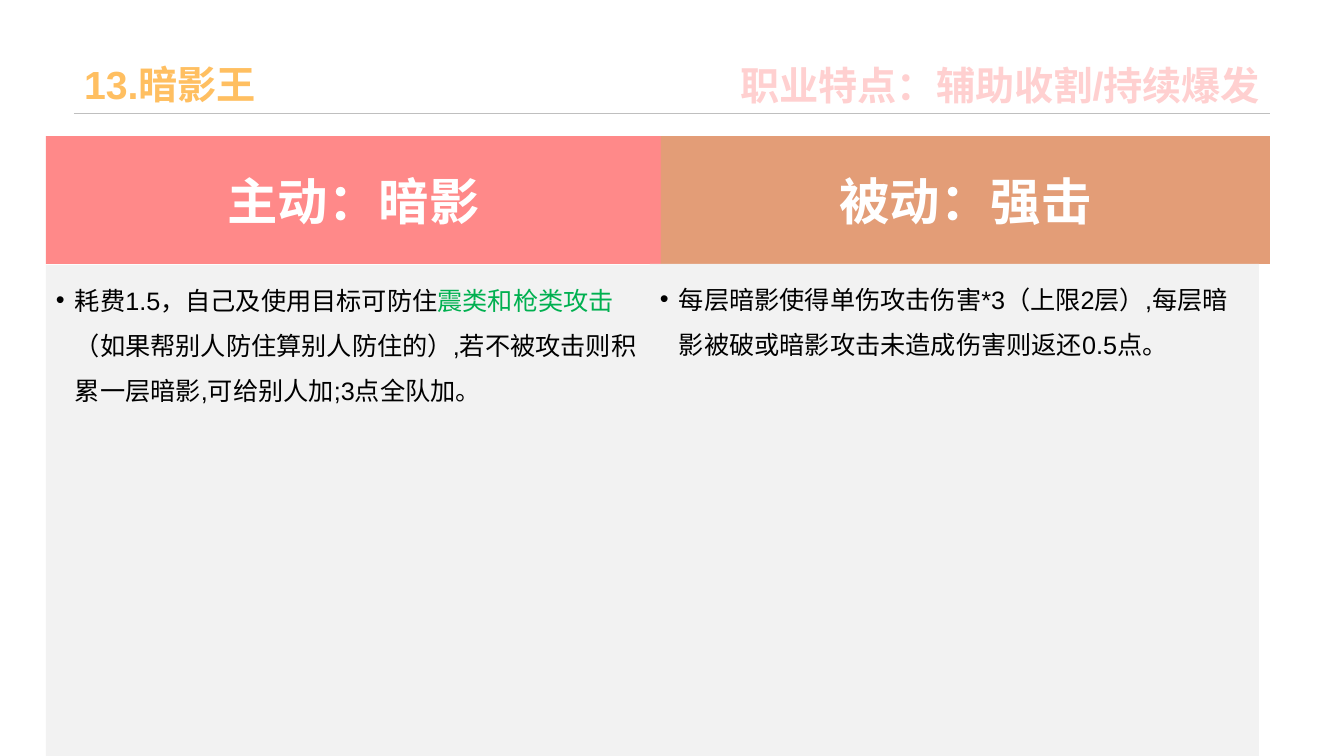
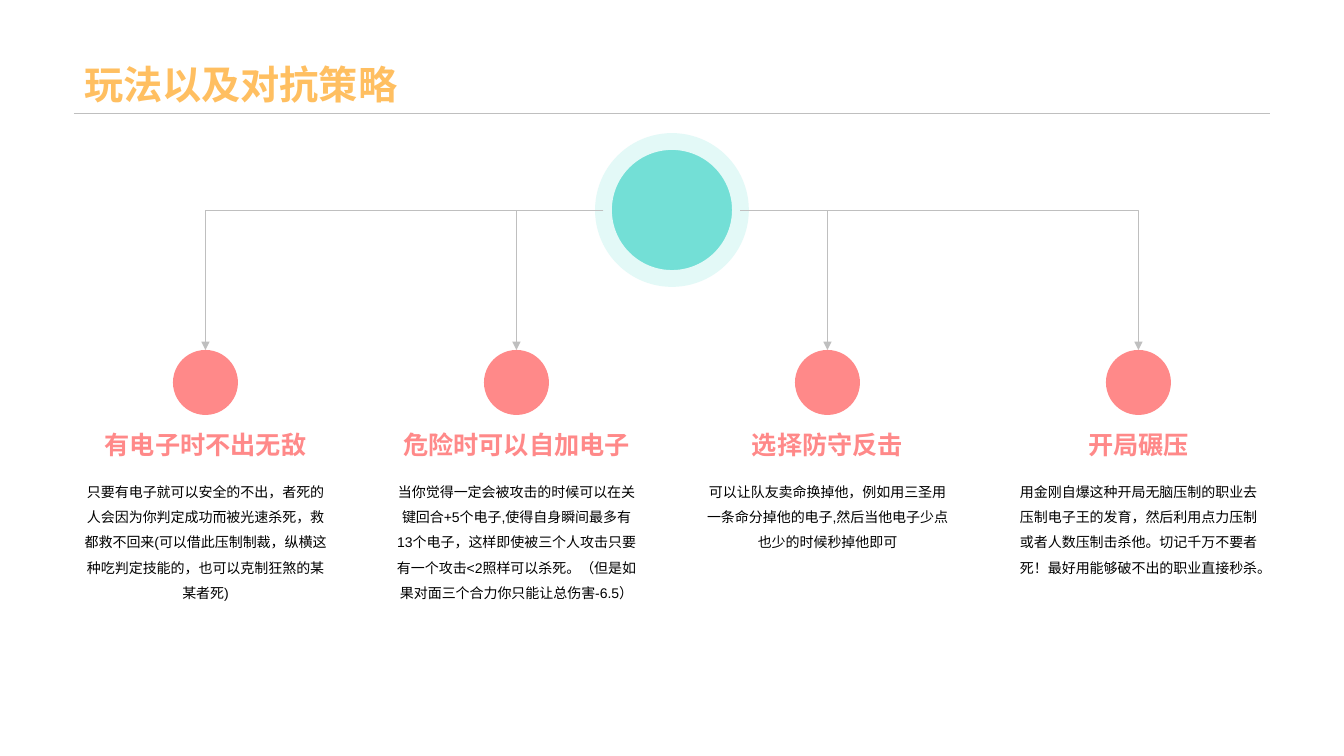
from lxml.etree import SubElement
from pptx import Presentation
from pptx.dml.color import RGBColor
from pptx.enum.lang import MSO_LANGUAGE_ID
from pptx.enum.shapes import MSO_CONNECTOR, MSO_SHAPE
from pptx.enum.text import MSO_ANCHOR, MSO_AUTO_SIZE, PP_ALIGN
from pptx.oxml.ns import qn
from pptx.util import Emu, Pt

ORANGE, CORAL, TAN, TEAL = "FFBF61", "FF8989", "E39D77", "73DFD6"
PALE_CORAL, PALE_TEAL, GREEN = "FFD0D0", "E3F9F7", "00B050"
WHITE, BLACK, PANEL, GREY = "FFFFFF", "000000", "F2F2F2", "BFBFBF"

ROLE_TITLE = "13.暗影王"
ROLE_TRAIT = "职业特点：辅助收割/持续爆发"
# heading, heading colour, heading left, body left, body top, width, body runs
SKILLS = [
    ("主动：暗影", CORAL, 46, 46, 265, 615, [
        ("耗费1.5，自己及使用目标可防住", BLACK),
        ("震类和枪类攻击", GREEN),
        ("（如果帮别人防住算别人防住的）,若不被攻击则积累一层暗影,可给别人加;3点全队加。", BLACK)]),
    ("被动：强击", TAN, 661, 650, 264, 609, [
        ("每层暗影使得单伤攻击伤害*3（上限2层）,每层暗影被破或暗影攻击未造成伤害则返还0.5点。", BLACK)]),
]

PLAY_TITLE = "玩法以及对抗策略"
TACTICS = [
    ("有电子时不出无敌",
     "只要有电子就可以安全的不出，者死的人会因为你判定成功而被光速杀死，救都救不回来"
     "(可以借此压制制裁，纵横这种吃判定技能的，也可以克制狂煞的某某者死)"),
    ("危险时可以自加电子",
     "当你觉得一定会被攻击的时候可以在关键回合+5个电子,使得自身瞬间最多有13个电子，"
     "这样即使被三个人攻击只要有一个攻击<2照样可以杀死。（但是如果对面三个合力你只能让总伤害-6.5）"),
    ("选择防守反击",
     "可以让队友卖命换掉他，例如用三圣用一条命分掉他的电子,然后当他电子少点也少的时候秒掉他即可"),
    ("开局碾压",
     "用金刚自爆这种开局无脑压制的职业去压制电子王的发育，然后利用点力压制或者人数压制击杀他。"
     "切记千万不要者死！最好用能够破不出的职业直接秒杀。"),
]

SLIDE_W, SLIDE_H = 1344, 756
MARGIN, RULE_Y, TITLE_W = 74, 113, 1196
TITLE_FONT = {"size": Pt(28), "bold": True}


def px(n):
    return Emu(round(n * 914400 / 100.8))


def rgb(value):
    return RGBColor.from_string(value)


def put_text(s, runs, font, anchor=MSO_ANCHOR.TOP, align=PP_ALIGN.LEFT, spacing=1.0, bullet=False):
    tf = s.text_frame
    for name, value in {"word_wrap": True, "auto_size": MSO_AUTO_SIZE.NONE,
                        "vertical_anchor": anchor}.items():
        setattr(tf, name, value)
    p = tf.paragraphs[0]
    p.alignment, p.line_spacing = align, spacing
    if bullet:
        pPr = p._p.get_or_add_pPr()
        pPr.set("marL", str(px(19)))
        pPr.set("indent", str(-px(19)))
        SubElement(pPr, qn("a:buFont")).set("typeface", "Arial")
        SubElement(pPr, qn("a:buChar")).set("char", "•")
    shared = {"name": "Arial", "language_id": MSO_LANGUAGE_ID.SIMPLIFIED_CHINESE}
    for text, color in runs:
        r = p.add_run()
        r.text = text
        for name, value in {**shared, **font}.items():
            setattr(r.font, name, value)
        r.font.color.rgb = rgb(color)


def add_box(slide, box, runs, font, **layout):
    put_text(slide.shapes.add_textbox(*map(px, box)), runs, font, **layout)


def add_filled(slide, kind, box, color):
    s = slide.shapes.add_shape(kind, *map(px, box))
    s.shadow.inherit = False
    s.fill.solid()
    s.fill.fore_color.rgb = rgb(color)
    s.line.fill.background()
    return s


def add_line(slide, kind, ends, width):
    s = slide.shapes.add_connector(kind, *map(px, ends))
    s.line.color.rgb = rgb(GREY)
    s.line.width = Pt(width)
    SubElement(s.element.spPr, qn("a:effectLst"))
    return s


def add_elbow_arrow(slide, ends):
    """Draw an arrow that runs sideways, then down."""
    s = add_line(slide, MSO_CONNECTOR.ELBOW, ends, 0.25)
    s.element.spPr.find(qn("a:prstGeom")).set("prst", "bentConnector2")
    SubElement(s.line._get_or_add_ln(), qn("a:tailEnd")).set("type", "triangle")


def add_titled_slide(prs, title):
    slide = prs.slides.add_slide(prs.slide_layouts[5])
    add_line(slide, MSO_CONNECTOR.STRAIGHT, (MARGIN, RULE_Y, MARGIN + TITLE_W, RULE_Y), 0.5)
    s = slide.shapes.title
    s.left, s.top, s.width, s.height = map(px, (MARGIN, 0, TITLE_W, RULE_Y))
    put_text(s, [(title, ORANGE)], TITLE_FONT, MSO_ANCHOR.BOTTOM, spacing=0.9)
    return slide


def build_role(prs):
    slide = add_titled_slide(prs, ROLE_TITLE)
    add_box(slide, (660, 0, 610, RULE_Y + 1), [(ROLE_TRAIT, PALE_CORAL)], TITLE_FONT,
            anchor=MSO_ANCHOR.BOTTOM, align=PP_ALIGN.RIGHT, spacing=0.9)
    for heading, color, head_x, body_x, body_y, width, runs in SKILLS:
        head = add_filled(slide, MSO_SHAPE.RECTANGLE, (head_x, 136, width, 128), color)
        put_text(head, [(heading, WHITE)], {"size": Pt(36), "bold": True},
                 MSO_ANCHOR.MIDDLE, PP_ALIGN.CENTER)
        body = add_filled(slide, MSO_SHAPE.RECTANGLE,
                          (body_x, body_y, width, SLIDE_H - body_y), PANEL)
        put_text(body, runs, {"size": Pt(18)}, spacing=1.5, bullet=True)


def build_tactics(prs):
    slide = add_titled_slide(prs, PLAY_TITLE)
    hub_d, hub_y, dot_d, dot_y, col_w = 137, 210, 65, 350, 263
    hub_x = SLIDE_W / 2
    step = (TITLE_W - col_w) / (len(TACTICS) - 1)
    hub = add_filled(slide, MSO_SHAPE.OVAL,
                     (hub_x - hub_d / 2, hub_y - hub_d / 2, hub_d, hub_d), TEAL)
    hub.line.color.rgb = rgb(PALE_TEAL)
    hub.line.width = Pt(12)
    for i, (heading, body) in enumerate(TACTICS):
        left = MARGIN + i * step
        mid = left + col_w / 2
        side = 1 if mid > hub_x else -1
        add_elbow_arrow(slide, (hub_x + side * hub_d / 2, hub_y, mid, dot_y))
        add_filled(slide, MSO_SHAPE.OVAL, (mid - dot_d / 2, dot_y, dot_d, dot_d), CORAL)
        add_box(slide, (left, 418, col_w, 52), [(heading, CORAL)],
                {"size": Pt(18), "bold": True}, anchor=MSO_ANCHOR.MIDDLE, align=PP_ALIGN.CENTER)
        add_box(slide, (left, 470, col_w, 161), [(body, BLACK)], {"size": Pt(10)},
                align=PP_ALIGN.CENTER, spacing=1.5)


def main():
    prs = Presentation()
    prs.slide_width, prs.slide_height = px(SLIDE_W), px(SLIDE_H)
    build_role(prs)
    build_tactics(prs)
    prs.save("out.pptx")


if __name__ == "__main__":
    main()
